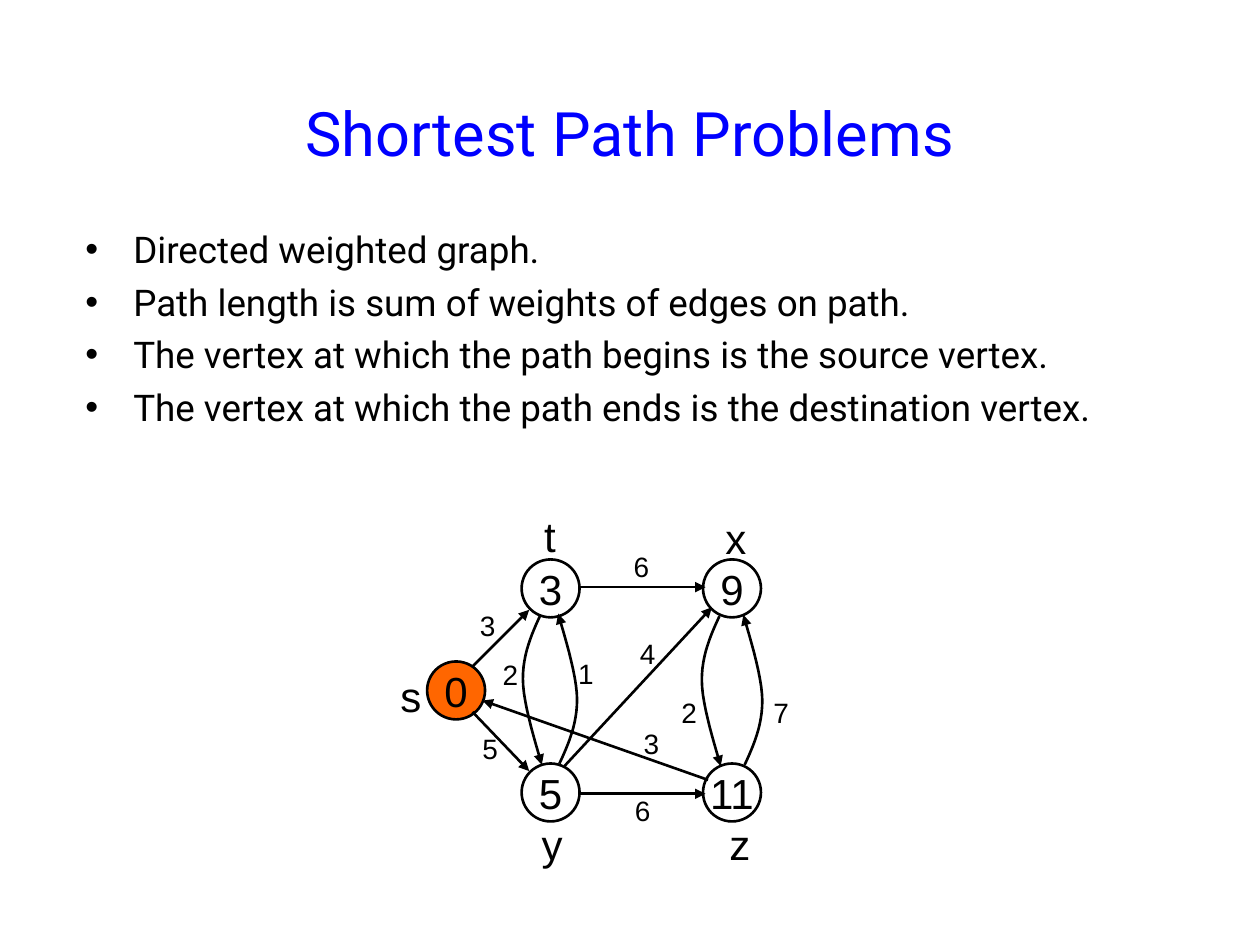
from dataclasses import dataclass

from lxml.etree import SubElement
from pptx import Presentation
from pptx.dml.color import RGBColor
from pptx.enum.shapes import MSO_CONNECTOR, MSO_SHAPE
from pptx.enum.text import MSO_ANCHOR, PP_ALIGN
from pptx.oxml.ns import qn
from pptx.util import Inches, Pt


@dataclass(frozen=True)
class Theme:
    title_color: RGBColor = RGBColor(0x00, 0x00, 0xFF)
    ink: RGBColor = RGBColor(0x00, 0x00, 0x00)
    source_fill: RGBColor = RGBColor(0xFF, 0x66, 0x00)
    text_font: str = "Roboto"
    graph_font: str = "Arial"
    title_size: int = 35
    body_size: int = 21
    vertex_size: int = 24
    weight_size: int = 16
    stroke: float = 1.5


def write_text(frame, lines, *, font, size, color, align=PP_ALIGN.LEFT,
               anchor=MSO_ANCHOR.TOP, wrap=True, bullet=None, indent=0, gap=0):
    frame.word_wrap = wrap
    frame.vertical_anchor = anchor
    for index, line in enumerate(lines):
        paragraph = frame.paragraphs[0] if index == 0 else frame.add_paragraph()
        paragraph.alignment = align
        if index:
            paragraph.space_before = Pt(gap)
        if bullet:
            properties = paragraph._p.get_or_add_pPr()
            properties.set("marL", str(Inches(indent)))
            properties.set("indent", str(-Inches(indent)))
            SubElement(properties, qn("a:buFont"), typeface="Arial")
            SubElement(properties, qn("a:buChar"), char=bullet)
        run = paragraph.add_run()
        run.text = line
        run.font.name = font
        run.font.size = Pt(size)
        run.font.color.rgb = color


def cubic_points(start, control_1, control_2, end, steps=12):
    """Points along a Bézier curve, without its start."""
    for step in range(1, steps + 1):
        t = step / steps
        u = 1 - t
        yield tuple(u**3 * a + 3 * u * u * t * b + 3 * u * t * t * c + t**3 * d
                    for a, b, c, d in zip(start, control_1, control_2, end))


class GraphSlide:
    NODE = 0.46
    # Offsets from the start of a downward edge: two cubic pieces
    BEND = [[(0, 0), (-0.07, 0.15), (-0.14, 0.31), (-0.14, 0.51)],
            [(-0.14, 0.51), (-0.14, 0.71), (-0.02, 1.08), (0.01, 1.19)]]

    def __init__(self, slide, theme):
        self.shapes = slide.shapes
        self.theme = theme

    def text(self, box, lines, **style):
        frame = self.shapes.add_textbox(*map(Inches, box)).text_frame
        write_text(frame, lines, **style)

    def label(self, left, top, text, size, width, height):
        self.text((left, top, width, height), [text], font=self.theme.graph_font,
                  size=size, color=self.theme.ink, align=PP_ALIGN.CENTER, wrap=False)

    def vertex_name(self, left, top, name):
        self.label(left, top, name, self.theme.vertex_size, 0.33, 0.4)

    def weight(self, left, top, value):
        self.label(left, top, value, self.theme.weight_size, 0.32, 0.37)

    def vertex(self, left, top, distance, fill=None):
        node = self.shapes.add_shape(MSO_SHAPE.OVAL, Inches(left), Inches(top),
                                     Inches(self.NODE), Inches(self.NODE))
        node.shadow.inherit = False
        if fill is None:
            node.fill.background()
        else:
            node.fill.solid()
            node.fill.fore_color.rgb = fill
        self.outline(node)
        write_text(node.text_frame, [distance], font=self.theme.graph_font,
                   size=self.theme.vertex_size, color=self.theme.ink,
                   align=PP_ALIGN.CENTER, anchor=MSO_ANCHOR.MIDDLE, wrap=False)

    def outline(self, shape, arrow=False):
        shape.line.color.rgb = self.theme.ink
        shape.line.width = Pt(self.theme.stroke)
        if arrow:
            SubElement(shape.line._get_or_add_ln(), qn("a:tailEnd"), type="triangle")

    def straight_edge(self, start, end):
        edge = self.shapes.add_connector(MSO_CONNECTOR.STRAIGHT,
                                         *map(Inches, start + end))
        self.outline(edge, arrow=True)
        SubElement(edge._element.spPr, qn("a:effectLst"))

    def bent_edge(self, start, direction):
        """Draw the bend downward (1), or turned half round to run upward (-1)."""
        x, y = start
        points = [(Inches(x + direction * dx), Inches(y + direction * dy))
                  for piece in self.BEND for dx, dy in cubic_points(*piece)]
        builder = self.shapes.build_freeform(Inches(x), Inches(y))
        builder.add_line_segments(points, close=False)
        edge = builder.convert_to_shape()
        edge.shadow.inherit = False
        edge.fill.background()
        self.outline(edge, arrow=True)


def main():
    deck = Presentation()
    deck.slide_width, deck.slide_height = Inches(10), Inches(7.5)
    theme = Theme()
    graph = GraphSlide(deck.slides.add_slide(deck.slide_layouts[6]), theme)

    graph.text((0.75, 0.42, 8.5, 1.25), ["Shortest Path Problems"],
               font=theme.text_font, size=theme.title_size, color=theme.title_color,
               align=PP_ALIGN.CENTER, anchor=MSO_ANCHOR.MIDDLE)
    graph.text((0.58, 1.75, 8.67, 2.58),
               ["Directed weighted graph.",
                "Path length is sum of weights of edges on path.",
                "The vertex at which the path begins is the source vertex.",
                "The vertex at which the path ends is the destination vertex."],
               font=theme.text_font, size=theme.body_size, color=theme.ink,
               bullet="•", indent=0.38, gap=4.9)

    left_column, right_column, top_row, bottom_row = 4.14, 5.58, 4.44, 6.06
    graph.vertex(3.39, 5.25, "0", fill=theme.source_fill)
    graph.vertex(left_column, top_row, "3")
    graph.vertex(right_column, top_row, "9")
    graph.vertex(left_column, bottom_row, "5")
    graph.vertex(right_column, bottom_row, "11")

    for left, top, name in [(3.08, 5.27, "s"), (4.2, 4, "t"), (5.66, 4.02, "x"),
                            (4.2, 6.45, "y"), (5.69, 6.45, "z")]:
        graph.vertex_name(left, top, name)

    for start, end in [((4.59, 4.66), (5.6, 4.66)),   # t to x
                       ((3.75, 5.29), (4.2, 4.84)),   # s to t
                       ((3.75, 5.65), (4.2, 6.12)),   # s to y
                       ((4.6, 6.3), (5.6, 6.3)),      # y to z
                       ((4.48, 6.08), (5.65, 4.82)),  # y to x
                       ((5.62, 6.19), (3.83, 5.56))]:  # z to s
        graph.straight_edge(start, end)

    for start, direction in [((4.29, 4.88), 1),    # t to y
                             ((5.71, 4.89), 1),    # x to z
                             ((5.91, 6.07), -1),   # z to x
                             ((4.44, 6.06), -1)]:  # y to t
        graph.bent_edge(start, direction)

    for left, top, value in [(3.71, 4.78, "3"), (4.93, 4.31, "6"), (3.73, 5.76, "5"),
                             (6.04, 5.47, "7"), (4.94, 6.25, "6"), (5.31, 5.47, "2"),
                             (3.89, 5.17, "2"), (4.49, 5.16, "1"), (4.98, 5, "4"),
                             (5.01, 5.72, "3")]:
        graph.weight(left, top, value)

    deck.save("out.pptx")


if __name__ == "__main__":
    main()
